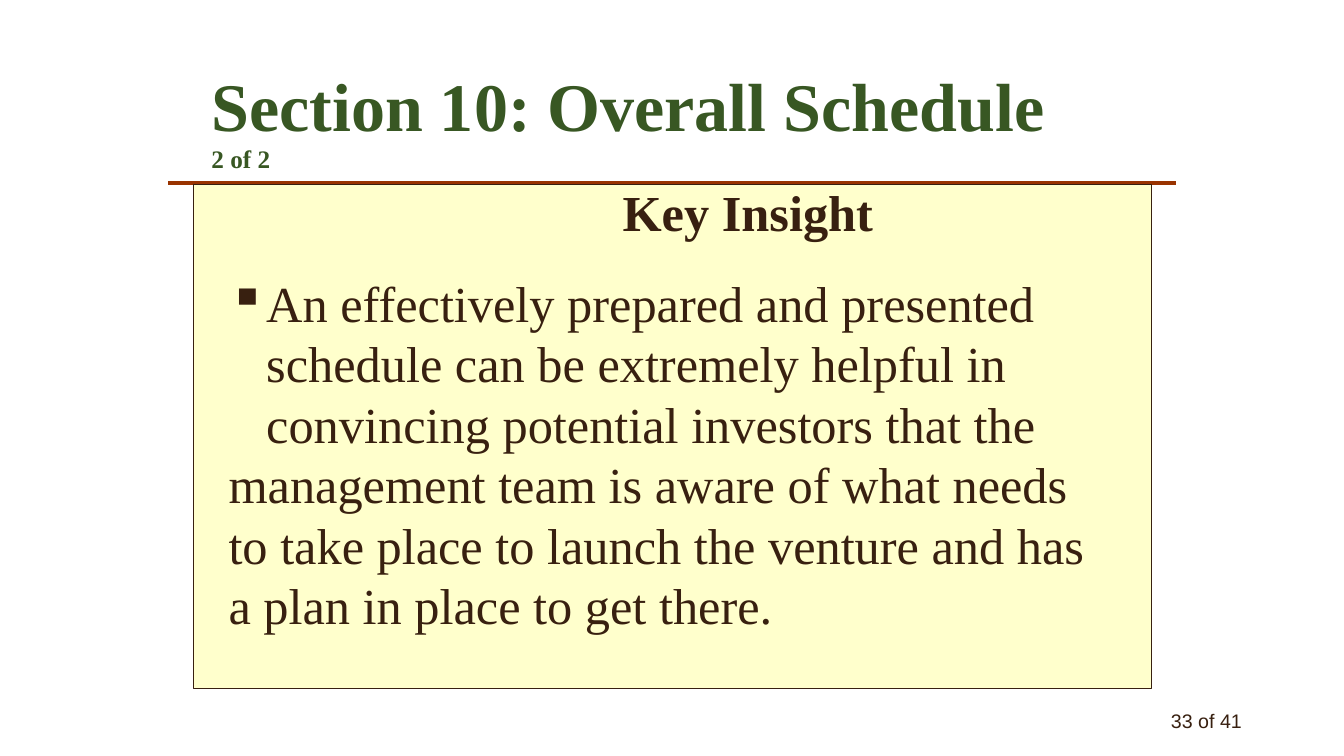
from lxml import etree
from pptx import Presentation
from pptx.dml.color import RGBColor
from pptx.enum.shapes import MSO_CONNECTOR as Connector, MSO_SHAPE as Preset
from pptx.enum.text import MSO_ANCHOR as Anchor, PP_ALIGN as Align
from pptx.oxml.ns import qn
from pptx.util import Cm, Pt

SERIF = "Times New Roman"
BROWN = "382010"
GREEN = "385723"


def color(value):
    return RGBColor.from_string(value)


def add_bullet(paragraph, symbol, indent):
    properties = paragraph._p.get_or_add_pPr()
    properties.set("marL", str(indent))
    properties.set("indent", str(-indent))
    etree.SubElement(properties, qn("a:buChar")).set("char", symbol)


def add_text(slide, text, left, top, width, height, sizes=(36,), font=SERIF,
             ink=BROWN, bold=False, align=Align.LEFT, anchor=Anchor.TOP,
             spacing=Pt(43.2), bullet=None):
    frame = slide.shapes.add_textbox(Cm(left), Cm(top), Cm(width), Cm(height)).text_frame
    frame.word_wrap = True
    frame.vertical_anchor = anchor
    for index, content in enumerate(text.split("\n")):
        paragraph = frame.add_paragraph() if index else frame.paragraphs[0]
        paragraph.alignment = align
        paragraph.line_spacing = spacing
        if bullet and index == 0:
            add_bullet(paragraph, bullet, Cm(0.95))
        for part, (words, size) in enumerate(zip(content.split("\v"), sizes)):
            if part:
                paragraph.add_line_break()
            run = paragraph.add_run()
            run.text = words
            run.font.name = font
            run.font.size = Pt(size)
            run.font.bold = bold
            run.font.color.rgb = color(ink)


def add_heading(slide, left, top, width):
    add_text(slide, "Section 10: Overall Schedule\v2 of 2",
             left + 0.84, top, width - 1.47, 1.4, sizes=(48.6, 18),
             ink=GREEN, bold=True, anchor=Anchor.MIDDLE, spacing=0.9)
    rule_top = Cm(top + 2.21)
    rule = slide.shapes.add_connector(Connector.STRAIGHT, Cm(left), rule_top,
                                      Cm(left + width), rule_top)
    rule.line.color.rgb = color("993300")
    rule.line.width = Pt(3)
    etree.SubElement(rule._element.spPr, qn("a:effectLst"))


def add_insight(slide, left, top, width, height):
    panel = slide.shapes.add_shape(Preset.RECTANGLE, Cm(left), Cm(top),
                                   Cm(width), Cm(height))
    panel.shadow.inherit = False
    panel.fill.solid()
    panel.fill.fore_color.rgb = color("FFFFCC")
    panel.line.color.rgb = color(BROWN)
    panel.line.width = Pt(0.75)
    add_text(slide, "Key Insight", left + 10.56, top - 0.2, 12.9, 1.8, bold=True)
    add_text(slide,
             "An effectively prepared and presented schedule can be extremely "
             "helpful in convincing potential investors that the\n"
             "management team is aware of what needs to take place to launch "
             "the venture and has a plan in place to get there.",
             left + 0.63, top + 2.08, width - 1.27, height - 3.3, bullet="▪")


def add_page_number(slide, left, top, width, height):
    add_text(slide, "33 of 41", left, top, width, height, sizes=(14,), font="Arial",
             align=Align.RIGHT, anchor=Anchor.MIDDLE, spacing=1.0)


def main():
    deck = Presentation()
    deck.slide_width = Cm(33.87)
    deck.slide_height = Cm(19.05)
    slide = deck.slides.add_slide(deck.slide_layouts[6])
    add_heading(slide, 4.24, 2.41, 25.4)
    add_insight(slide, 4.88, 4.65, 24.13, 12.7)
    add_page_number(slide, 23.93, 17.65, 7.62, 1.02)
    deck.save("out.pptx")


if __name__ == "__main__":
    main()
